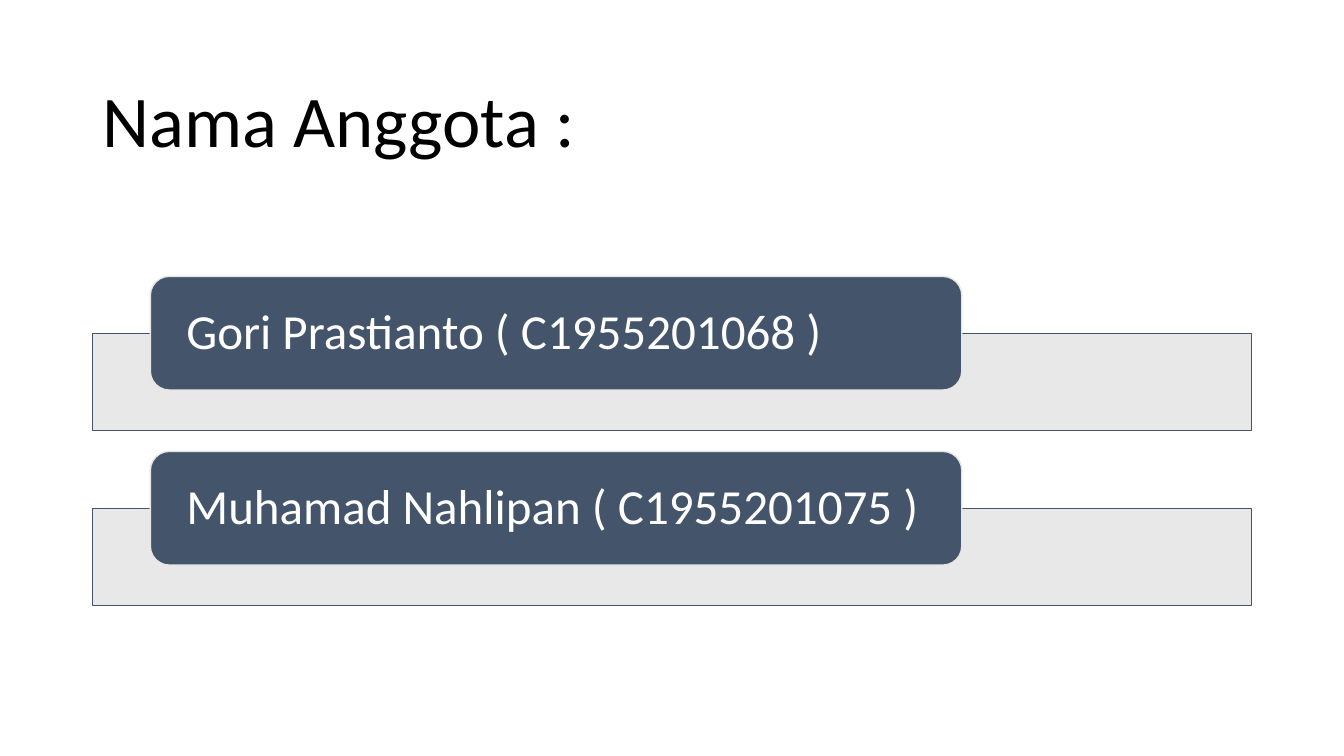
from lxml import etree
from pptx import Presentation
from pptx import util as u
from pptx.dml.color import RGBColor
from pptx.enum import shapes, text
from pptx.oxml import ns

BLACK = RGBColor(0x00, 0x00, 0x00)
WHITE = RGBColor(0xFF, 0xFF, 0xFF)
SLATE = RGBColor(0x44, 0x54, 0x6A)
LIGHT_GREY = RGBColor(0xE7, 0xE6, 0xE6)

LEFT, WIDTH = 66, 828
FIRST_ROW, ROW_STEP = 197.4, 125
MEMBERS = [
    "Gori Prastianto ( C1955201068 )",
    "Muhamad Nahlipan ( C1955201075 )",
]


def write(frame, words, *, size, color, font="Calibri", inset=(7.2, 3.6), after=0):
    """Fill a text frame with one left-aligned, vertically centred paragraph."""
    frame.word_wrap = True
    frame.auto_size = text.MSO_AUTO_SIZE.NONE
    frame.vertical_anchor = text.MSO_ANCHOR.MIDDLE
    frame.margin_left = frame.margin_right = u.Pt(inset[0])
    frame.margin_top = frame.margin_bottom = u.Pt(inset[1])
    para = frame.paragraphs[0]
    para.alignment = text.PP_ALIGN.LEFT
    para.line_spacing = 0.9
    para.space_after = u.Pt(after)
    span = para.add_run()
    span.text = words
    span.font.name = font
    span.font.size = u.Pt(size)
    span.font.color.rgb = color


class SlideBuilder:
    """Holds the shared style and the current page."""

    line_width = 1

    def __init__(self, page):
        self.page = page

    def title(self, words, left, top, width, height):
        box = self.page.shapes.title
        box.left, box.top = u.Pt(left), u.Pt(top)
        box.width, box.height = u.Pt(width), u.Pt(height)
        write(box.text_frame, words, size=52, color=BLACK)

    def shape(self, kind, left, top, width, height, fill, line):
        box = self.page.shapes.add_shape(
            kind, u.Pt(left), u.Pt(top), u.Pt(width), u.Pt(height))
        box.shadow.inherit = False
        box.fill.solid()
        box.fill.fore_color.rgb = fill
        box.line.color.rgb = line
        box.line.width = u.Pt(self.line_width)
        return box

    def bar(self, top):
        box = self.shape(shapes.MSO_SHAPE.RECTANGLE, LEFT, top, WIDTH, 69.2,
                         LIGHT_GREY, SLATE)
        # 90 % opacity
        color = box.fill._xPr.find(".//" + ns.qn("a:srgbClr"))
        etree.SubElement(color, ns.qn("a:alpha"), val="90000")

    def label(self, words, top):
        box = self.shape(shapes.MSO_SHAPE.ROUNDED_RECTANGLE, 107.4, top, 579.6, 81.2,
                         SLATE, LIGHT_GREY)
        write(box.text_frame, words, size=35, color=WHITE, inset=(21.8, 0), after=12.25)


def main():
    deck = Presentation()
    deck.slide_width, deck.slide_height = u.Pt(960), u.Pt(540)
    builder = SlideBuilder(deck.slides.add_slide(deck.slide_layouts[5]))

    # Heading
    builder.title("Nama Anggota :", LEFT, 44, WIDTH, 89.3)

    # One bar with an overlapping label per member
    for row, member in enumerate(MEMBERS):
        top = FIRST_ROW + row * ROW_STEP
        builder.bar(top + 40.8)
        builder.label(member, top)

    deck.save("out.pptx")


if __name__ == "__main__":
    main()
